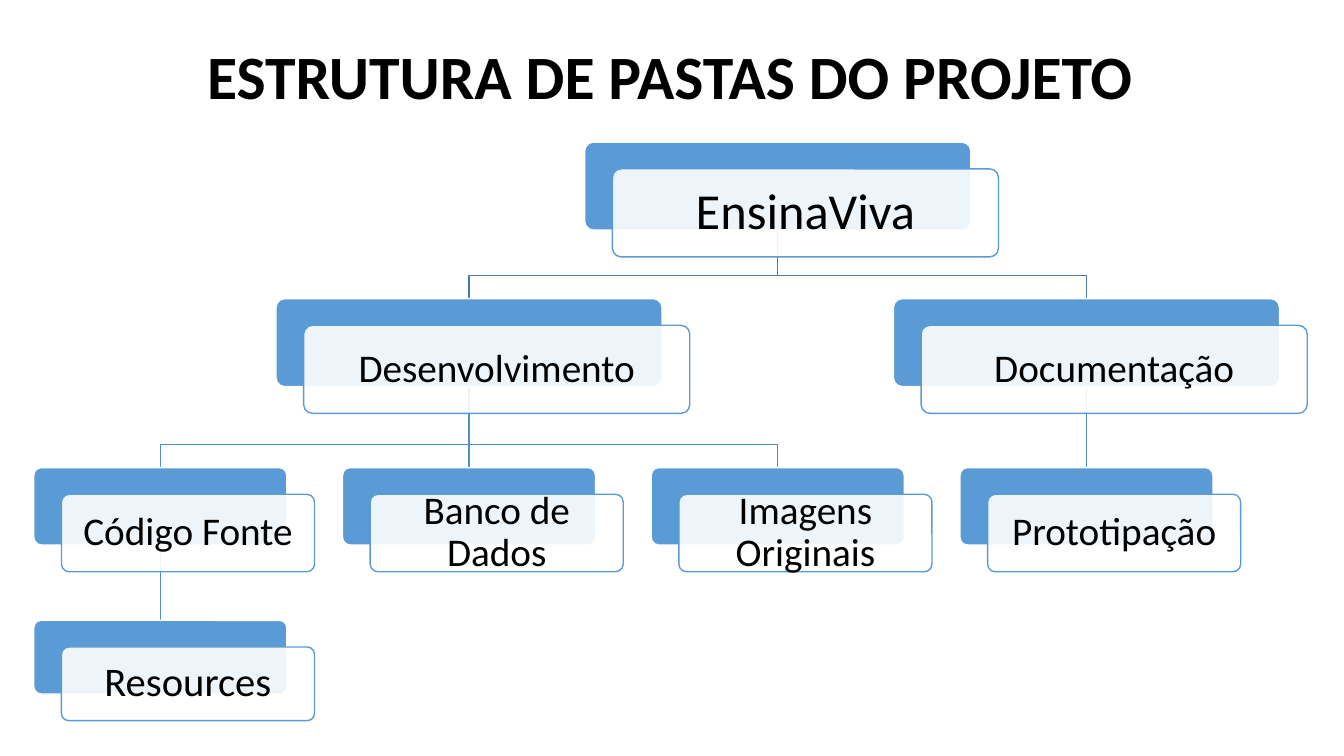
"""Build a slide with a folder tree as a chart of layered cards."""
from typing import NamedTuple, Optional

from lxml import etree
from pptx import Presentation
from pptx import util as u
from pptx.dml.color import RGBColor
from pptx.enum import shapes, text
from pptx.oxml.ns import qn

BLUE = RGBColor(0x5B, 0x9B, 0xD5)
WHITE = RGBColor(0xFF, 0xFF, 0xFF)
BLACK = RGBColor(0, 0, 0)
DARK = RGBColor(0x49, 0x7C, 0xAB)
MID = RGBColor(0x53, 0x8D, 0xC1)
FONT = "Calibri"
WIDE, HIGH = u.Inches(13.33), u.Inches(7.5)


class Row(NamedTuple):
    """A tree level: top, card width and height in percent, link colour."""
    top: float
    wide: float
    high: float
    link: RGBColor


class Card(NamedTuple):
    """A folder: label, grid column and row, parent's index, text size."""
    label: str
    col: int
    row: int
    up: Optional[int]
    size: int = 28
    inset: float = 0.12


ROWS = (Row(18.8, 28.73, 11.65, DARK), Row(39.5, 28.73, 11.65, DARK),
        Row(61.85, 18.83, 10.25, MID), Row(82.05, 18.83, 9.75, MID))
CARDS = (Card("EnsinaViva", 2, 0, None, 36, 0.15),
         Card("Desenvolvimento", 1, 1, 0), Card("Documentação", 3, 1, 0),
         Card("Código Fonte", 0, 2, 1), Card("Banco de Dados", 1, 2, 1),
         Card("Imagens Originais", 2, 2, 1), Card("Prototipação", 3, 2, 2),
         Card("Resources", 0, 3, 3, 29))


def across(part: float) -> int:
    """Turn a percentage of the slide's width into a length."""
    return round(WIDE * part / 100)


def down(part: float) -> int:
    """Turn a percentage of the slide's height into a length."""
    return round(HIGH * part / 100)


def middle(card: Card) -> int:
    """Give the centre line of a card's column."""
    return across(11.93 + 22.97 * card.col)


def link(page, card: Card) -> None:
    """Draw the line from a card's parent down to the card."""
    head = CARDS[card.up]
    row = ROWS[card.row]
    base = ROWS[head.row]
    start, end = middle(head), middle(card)
    top, foot = down(base.top + base.high), down(row.top)
    if start == end:
        line = page.shapes.add_connector(
            shapes.MSO_CONNECTOR.STRAIGHT, start, top, end, foot)
        etree.SubElement(line._element.spPr, qn("a:effectLst"))
    else:
        bend = foot - down(3.07)
        pen = page.shapes.build_freeform(start, top)
        pen.add_line_segments(
            [(start, bend), (end, bend), (end, foot)], close=False)
        line = pen.convert_to_shape()
        line.fill.background()
        line.shadow.inherit = False
    line.line.color.rgb = row.link
    line.line.width = u.Pt(1)


def plate(page, card: Card, step: int, fill: RGBColor, edge: RGBColor):
    """Draw one rounded layer of a card, shifted by whole steps."""
    row = ROWS[card.row]
    wide = across(row.wide)
    box = page.shapes.add_shape(
        shapes.MSO_SHAPE.ROUNDED_RECTANGLE,
        middle(card) - wide // 2 + step * across(2.06),
        down(row.top + step * 3.53), wide, down(row.high))
    box.adjustments[0] = 0.1
    box.shadow.inherit = False
    box.fill.solid()
    box.fill.fore_color.rgb = fill
    box.line.color.rgb = edge
    box.line.width = u.Pt(1)
    return box


def style(frame, size: int, bold: bool) -> None:
    """Centre the text of a frame and set its font."""
    frame.word_wrap = True
    frame.vertical_anchor = text.MSO_ANCHOR.MIDDLE
    para = frame.paragraphs[0]
    para.alignment = text.PP_ALIGN.CENTER
    para.line_spacing = 0.9
    font = para.runs[0].font
    font.name, font.size, font.bold = FONT, u.Pt(size), bold
    font.color.rgb = BLACK


def draw(page, card: Card) -> None:
    """Draw a card as a blue back and a clear front with its label."""
    plate(page, card, 0, BLUE, WHITE)
    front = plate(page, card, 1, WHITE, BLUE)
    tint = front._element.spPr.find(qn("a:solidFill"))[0]
    etree.SubElement(tint, qn("a:alpha"), val="90000")
    frame = front.text_frame
    frame.text = card.label
    frame.margin_left = frame.margin_right = u.Inches(card.inset)
    frame.margin_top = frame.margin_bottom = u.Inches(card.inset)
    style(frame, card.size, False)


def main() -> None:
    """Build the slide and save it."""
    deck = Presentation()
    deck.slide_width, deck.slide_height = WIDE, HIGH
    page = deck.slides.add_slide(deck.slide_layouts[5])
    title = page.shapes.title
    title.left, title.top = across(6.75), down(0.8)
    title.width, title.height = across(86.25), down(19.33)
    title.text_frame.text = "ESTRUTURA DE PASTAS DO PROJETO"
    style(title.text_frame, 44, True)
    for card in CARDS[1:]:
        link(page, card)
    for card in CARDS:
        draw(page, card)
    deck.save("out.pptx")


main()
